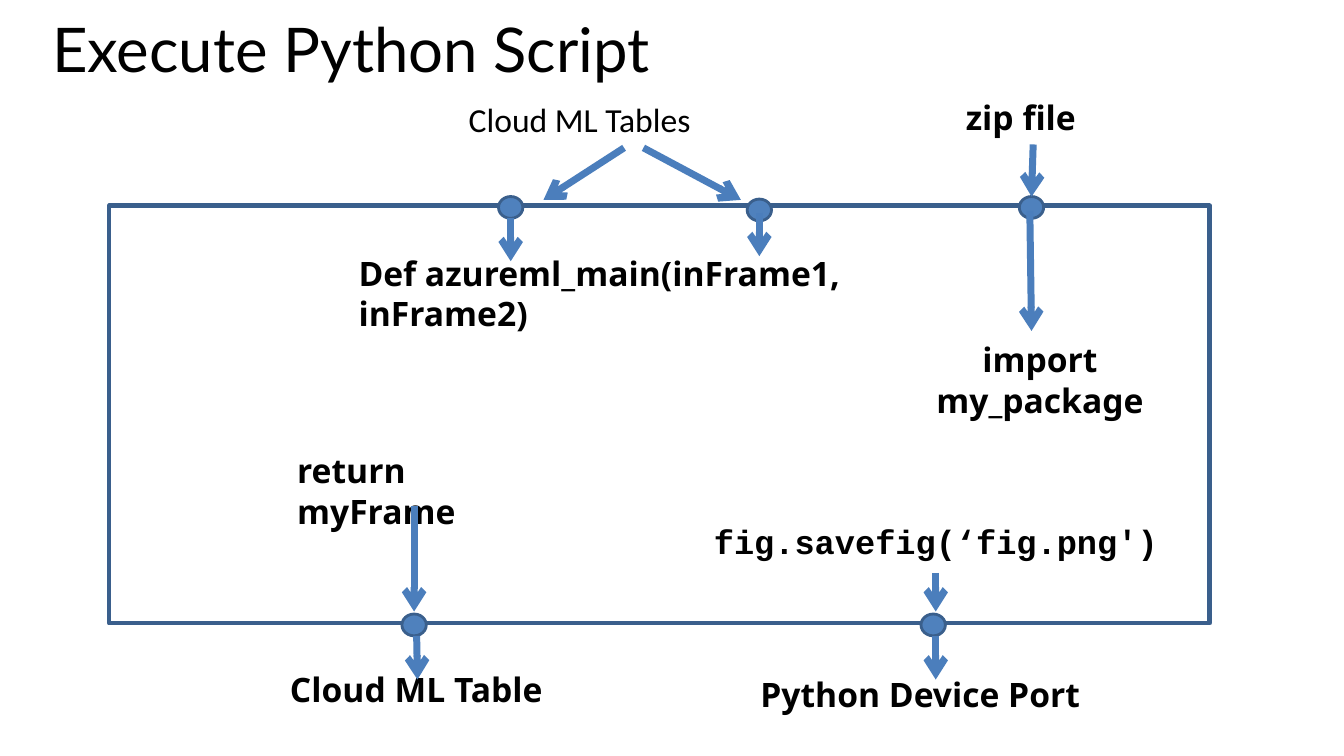
from lxml import etree
from pptx import Presentation
from pptx import util as u
from pptx.dml.color import RGBColor
from pptx.enum import shapes, text
from pptx.oxml.ns import qn

COLS, ROWS = 160, 90
LEFT, MID = text.PP_ALIGN.LEFT, text.PP_ALIGN.CENTER


def tint(code):
    return RGBColor.from_string(code)


class Board:
    """Places elements on the slide; lengths are grid columns and rows."""
    ink, fill, edge, flow = "000000", "4F81BD", "3A5F8C", "4B7EBC"
    font, size = "Noto Sans", 24

    def __init__(self, deck):
        self.wide, self.high = deck.slide_width, deck.slide_height
        self.slide = deck.slides.add_slide(deck.slide_layouts[5])
        self.items = self.slide.shapes

    def grid(self, *cells):
        """Turn alternating columns and rows into slide lengths."""
        units = (self.wide / COLS, self.high / ROWS)
        return [u.Emu(round(c * units[i % 2])) for i, c in enumerate(cells)]

    def style(self, box, words, align, font, size, bold, pad, lead):
        """Put words in a box and format them."""
        frame = box.text_frame
        frame.text = words
        frame.word_wrap = True
        frame.auto_size = text.MSO_AUTO_SIZE.NONE
        frame.vertical_anchor = text.MSO_ANCHOR.TOP
        frame.margin_left = frame.margin_right = u.Inches(pad[0])
        frame.margin_top = frame.margin_bottom = u.Inches(pad[1])
        para = frame.paragraphs[0]
        para.alignment, para.line_spacing = align, lead
        face = para.runs[0].font
        face.name, face.size, face.bold = font, u.Pt(size), bold
        face.color.rgb = tint(self.ink)

    def title(self, words, *area):
        box = self.items.title
        box.left, box.top, box.width, box.height = self.grid(*area)
        self.style(box, words, LEFT, "Lato", 44, False, (0.1, 0.05), 0.8)

    def label(self, words, area, align=MID, font=font, bold=True,
              pad=(0.1, 0.05), lead=1.0):
        box = self.items.add_textbox(*self.grid(*area))
        self.style(box, words, align, font, self.size, bold, pad, lead)

    def shape(self, kind, area, width, fill=None):
        form = self.items.add_shape(kind, *self.grid(*area))
        form.shadow.inherit = False
        if fill:
            form.fill.solid()
            form.fill.fore_color.rgb = tint(fill)
        else:
            form.fill.background()
        form.line.color.rgb = tint(self.edge)
        form.line.width = u.Pt(width)

    def frame(self, *area):
        self.shape(shapes.MSO_SHAPE.RECTANGLE, area, 3.25)

    def port(self, x, y, w=2.9, h=2.6):
        """Draw a dot centred on x, y."""
        area = (x - w / 2, y - h / 2, w, h)
        self.shape(shapes.MSO_SHAPE.OVAL, area, 2, self.fill)

    def arrow(self, *ends):
        link = self.items.add_connector(
            shapes.MSO_CONNECTOR.STRAIGHT, *self.grid(*ends))
        link.line.color.rgb = tint(self.flow)
        link.line.width = u.Pt(5)
        props = link.element.spPr
        etree.SubElement(props.find(qn("a:ln")), qn("a:tailEnd"),
                         type="arrow")
        etree.SubElement(props, qn("a:effectLst"))


def main():
    deck = Presentation()
    deck.slide_width, deck.slide_height = u.Inches(13.33), u.Inches(7.5)
    board = Board(deck)
    board.title("Execute Python Script", 5, 2.4, 151.2, 13.9)
    board.frame(13, 24.5, 131, 49.7)

    for spot in ((60.8, 24.7), (90.4, 25), (122.8, 24.7),
                 (111.1, 74.4), (49.3, 74.4)):
        board.port(*spot)

    board.label("Cloud ML Tables", (42.8, 11.3, 52.4, 6.4), font="Calibri",
                bold=False, pad=(0.13, 0.08), lead=0.9)
    tall = 8.6
    for words, x, y, wide, align in (
            ("Cloud ML Table", 31.8, 79, 35.5, MID),
            ("Python Device Port", 85.8, 79.6, 47.5, MID),
            ("Def azureml_main(inFrame1, inFrame2)", 41.5, 29.5, 71, LEFT),
            ("zip file", 113.8, 10.9, 18.8, LEFT),
            ("import my_package", 104.3, 39.8, 39, MID),
            ("return myFrame", 34.2, 53, 33.1, LEFT)):
        board.label(words, (x, y, wide, tall), align)
    board.label("fig.savefig(‘fig.png')", (82.4, 61.4, 58, tall),
                font="Courier New")

    for ends in ((74.3, 17.6, 64.7, 23.8), (76.6, 17.6, 88.2, 23.8),
                 (123, 17.2, 122.8, 23.4), (122.6, 25.1, 122.8, 39.4),
                 (60.8, 26, 60.8, 31.1), (90.4, 25.3, 90.4, 30.5),
                 (49.3, 60.2, 49.3, 72.8), (111.4, 68.2, 111.4, 72.8),
                 (49.6, 75.7, 49.7, 80.9), (111.4, 75.7, 111.4, 80.9)):
        board.arrow(*ends)
    deck.save("out.pptx")


if __name__ == "__main__":
    main()
